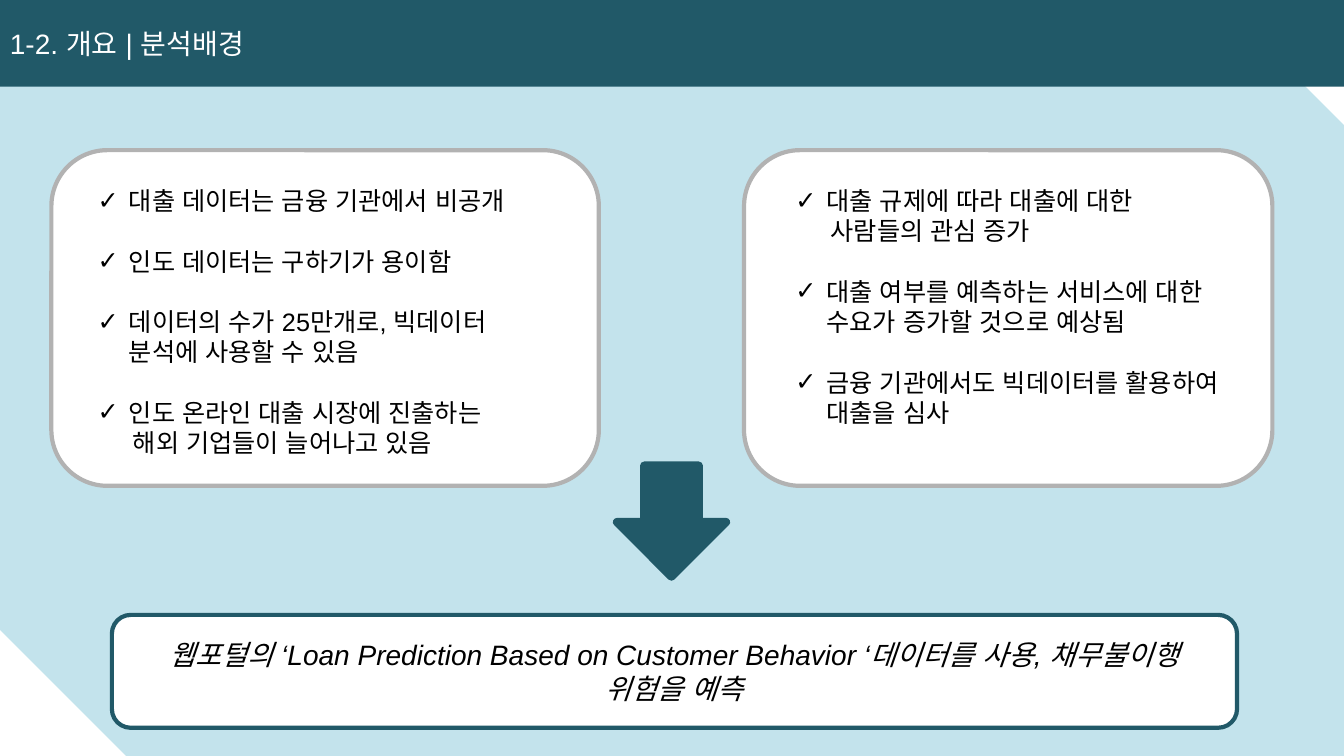
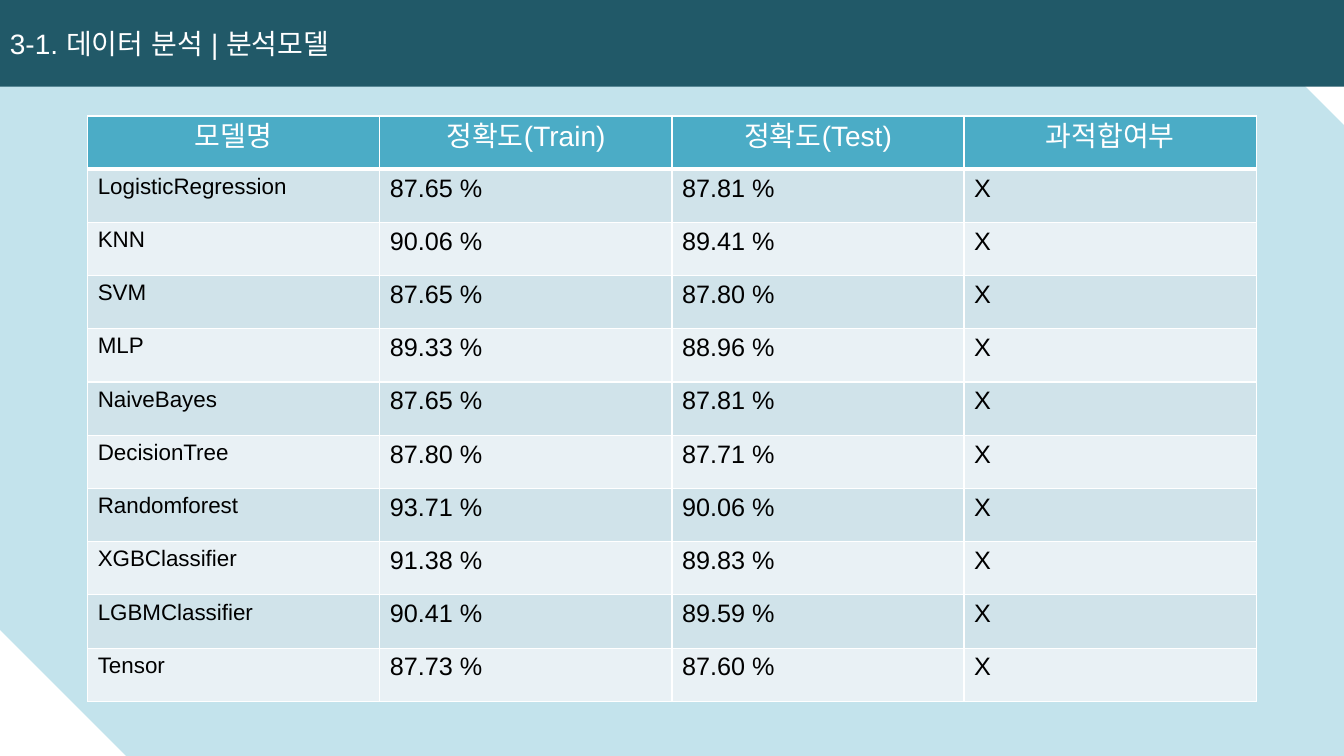
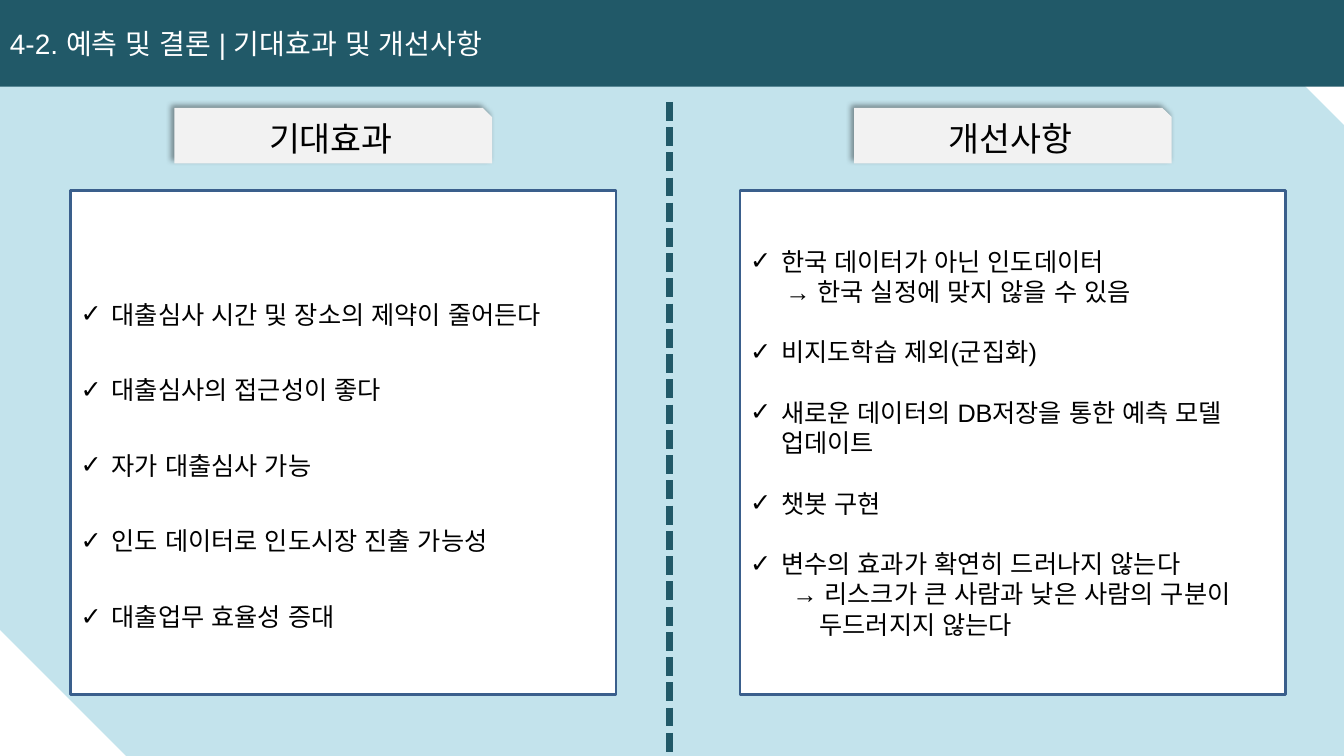
from dataclasses import dataclass
from typing import Optional

from lxml.etree import SubElement
from pptx import Presentation
from pptx.dml.color import RGBColor
from pptx.enum.dml import MSO_LINE
from pptx.enum.shapes import MSO_CONNECTOR, MSO_SHAPE
from pptx.enum.text import MSO_ANCHOR, PP_ALIGN
from pptx.oxml.ns import qn
from pptx.util import Inches, Pt

FONT = "Arial"
TEAL = "215968"
SKY = "93CDDD"
WHITE = "FFFFFF"
BLACK = "000000"
CARD_EDGE = "B2B2B2"
PANEL_EDGE = "3A5F8C"
TAG_GREY = "F2F2F2"
TABLE_HEAD = "4BACC6"
TABLE_ROWS = ("D0E3EA", "E9F1F5")

SLIDE_W, SLIDE_H = 13.33, 7.5
TOP = -0.01
BULLET_INDENT = 0.31
ITEM_GAP = 21.6


@dataclass
class Box:
    left: float
    top: float
    width: float
    height: float

    def lengths(self) -> tuple:
        return tuple(Inches(v) for v in (self.left, self.top, self.width, self.height))


@dataclass
class Item:
    """A ticked point, or an unticked follow-on line when indent is given."""
    text: str
    indent: Optional[float] = None


@dataclass
class ModelScore:
    model: str
    train: float
    test: float
    overfit: str = "X"


@dataclass
class Card:
    frame: Box
    text_area: Box
    items: list


@dataclass
class Panel:
    heading: str
    tag_left: float
    left: float
    items: list
    gap: float = ITEM_GAP
    line_spacing: float = 1.0


CARDS = [
    Card(Box(0.51, 1.49, 5.43, 3.33), Box(0.87, 1.79, 4.77, 3.13), [
        Item("대출 데이터는 금융 기관에서 비공개"),
        Item("인도 데이터는 구하기가 용이함"),
        Item("데이터의 수가 25만개로, 빅데이터 분석에 사용할 수 있음"),
        Item("인도 온라인 대출 시장에 진출하는"),
        Item("해외 기업들이 늘어나고 있음", 0.35),
    ]),
    Card(Box(7.38, 1.49, 5.24, 3.33), Box(7.79, 1.79, 4.58, 2.83), [
        Item("대출 규제에 따라 대출에 대한"),
        Item("사람들의 관심 증가", 0.35),
        Item("대출 여부를 예측하는 서비스에 대한 수요가 증가할 것으로 예상됨"),
        Item("금융 기관에서도 빅데이터를 활용하여 대출을 심사"),
    ]),
]

TABLE_HEADINGS = ("모델명", "정확도(Train)", "정확도(Test)", "과적합여부")
SCORES = [
    ModelScore("LogisticRegression", 87.65, 87.81),
    ModelScore("KNN", 90.06, 89.41),
    ModelScore("SVM", 87.65, 87.80),
    ModelScore("MLP", 89.33, 88.96),
    ModelScore("NaiveBayes", 87.65, 87.81),
    ModelScore("DecisionTree", 87.80, 87.71),
    ModelScore("Randomforest", 93.71, 90.06),
    ModelScore("XGBClassifier", 91.38, 89.83),
    ModelScore("LGBMClassifier", 90.41, 89.59),
    ModelScore("Tensor", 87.73, 87.60),
]

PANELS = [
    Panel("기대효과", 1.73, 0.7, [
        Item("대출심사 시간 및 장소의 제약이 줄어든다"),
        Item("대출심사의 접근성이 좋다"),
        Item("자가 대출심사 가능"),
        Item("인도 데이터로 인도시장 진출 가능성"),
        Item("대출업무 효율성 증대"),
    ], gap=0, line_spacing=2.5),
    Panel("개선사항", 8.47, 7.34, [
        Item("한국 데이터가 아닌 인도데이터"),
        Item("→ 한국 실정에 맞지 않을 수 있음", 0.35),
        Item("비지도학습 제외(군집화)"),
        Item("새로운 데이터의 DB저장을 통한 예측 모델 업데이트"),
        Item("챗봇 구현"),
        Item("변수의 효과가 확연히 드러나지 않는다"),
        Item("→ 리스크가 큰 사람과 낮은 사람의 구분이", 0.42),
        Item("두드러지지 않는다", 0.69),
    ]),
]


def rgb(value: str) -> RGBColor:
    return RGBColor.from_string(value)


def add_block(slide, kind, box: Box, fill: str, edge: str = "", edge_pt: float = 0):
    """Add a flat preset shape, outlined only when an edge colour is given."""
    block = slide.shapes.add_shape(kind, *box.lengths())
    block.shadow.inherit = False
    block.fill.solid()
    block.fill.fore_color.rgb = rgb(fill)
    if edge:
        block.line.color.rgb = rgb(edge)
        block.line.width = Pt(edge_pt)
    else:
        block.line.fill.background()
    return block


def style_runs(paragraph, size: float, color: str, italic: bool = False) -> None:
    for run in paragraph.runs:
        run.font.size = Pt(size)
        run.font.name = FONT
        run.font.bold = False
        run.font.italic = italic
        run.font.color.rgb = rgb(color)
        SubElement(run.font._element, qn("a:ea"), typeface=FONT)


def write_line(frame, text: str, size: float, color: str,
               align=PP_ALIGN.CENTER, italic: bool = False) -> None:
    frame.text = text
    frame.paragraphs[0].alignment = align
    style_runs(frame.paragraphs[0], size, color, italic)


def write_items(frame, items: list, gap: float = ITEM_GAP, line_spacing: float = 1.0) -> None:
    frame.word_wrap = True
    for index, item in enumerate(items):
        paragraph = frame.paragraphs[0] if index == 0 else frame.add_paragraph()
        paragraph.text = item.text
        paragraph.alignment = PP_ALIGN.LEFT
        ticked = item.indent is None
        properties = paragraph._p.get_or_add_pPr()
        properties.set("marL", str(Inches(BULLET_INDENT if ticked else item.indent)))
        properties.set("indent", str(-Inches(BULLET_INDENT) if ticked else 0))
        if ticked:
            SubElement(properties, qn("a:buFont"), typeface=FONT)
            SubElement(properties, qn("a:buChar"), char="✓")
        else:
            SubElement(properties, qn("a:buNone"))
        paragraph.line_spacing = line_spacing
        if ticked and index and gap:
            paragraph.space_before = Pt(gap)
        style_runs(paragraph, 18, BLACK)


def add_page(deck, title: str):
    """Add a blank slide with the snipped backdrop and the title band."""
    slide = deck.slides.add_slide(deck.slide_layouts[6])
    backdrop = add_block(slide, MSO_SHAPE.SNIP_2_DIAG_RECTANGLE,
                         Box(0, TOP, SLIDE_W, SLIDE_H - TOP), SKY)
    tint = backdrop.element.spPr.find(qn("a:solidFill"))[0]
    SubElement(tint, qn("a:alpha"), val="55000")
    band = add_block(slide, MSO_SHAPE.RECTANGLE, Box(0, TOP, SLIDE_W, 0.87), TEAL)
    write_line(band.text_frame, title, 20, WHITE, PP_ALIGN.LEFT)
    return slide


def add_drop_shadow(shape) -> None:
    effects = shape.element.spPr.find(qn("a:effectLst"))
    shadow = SubElement(effects, qn("a:outerShdw"), blurRad=str(Pt(4)), dist=str(Pt(3)),
                        dir=str(225 * 60000), algn="br", rotWithShape="0")
    shade = SubElement(shadow, qn("a:srgbClr"), val=BLACK)
    SubElement(shade, qn("a:alpha"), val="40000")


def set_borders(cell, top: float, bottom: float) -> None:
    properties = cell._tc.get_or_add_tcPr()
    for side, width in (("L", 1), ("R", 1), ("T", top), ("B", bottom)):
        edge = SubElement(properties, qn(f"a:ln{side}"), w=str(Pt(width)))
        paint = SubElement(edge, qn("a:solidFill"))
        SubElement(paint, qn("a:srgbClr"), val=WHITE)


def build_background(deck) -> None:
    slide = add_page(deck, "1-2. 개요 | 분석배경")
    for card in CARDS:
        add_block(slide, MSO_SHAPE.ROUNDED_RECTANGLE, card.frame, WHITE, CARD_EDGE, 3)
        points = slide.shapes.add_textbox(*card.text_area.lengths())
        write_items(points.text_frame, card.items)
    add_block(slide, MSO_SHAPE.DOWN_ARROW, Box(6.12, 4.62, 1.08, 1.1), TEAL, TEAL, 6)
    conclusion = add_block(slide, MSO_SHAPE.ROUNDED_RECTANGLE,
                           Box(1.11, 6.1, 11.16, 1.12), WHITE, TEAL, 3)
    conclusion.text_frame.word_wrap = True
    write_line(conclusion.text_frame,
               "웹포털의 ‘Loan Prediction Based on Customer Behavior ‘데이터를 사용, "
               "채무불이행 위험을 예측", 20, BLACK, italic=True)


def build_models(deck) -> None:
    slide = add_page(deck, "3-1. 데이터 분석 | 분석모델")
    rows = [TABLE_HEADINGS] + [
        (score.model, f"{score.train:.2f} %", f"{score.test:.2f} %", score.overfit)
        for score in SCORES
    ]
    area = Box(0.87, 1.15, 11.59, 5.81)
    table = slide.shapes.add_table(len(rows), len(TABLE_HEADINGS), *area.lengths()).table
    for r, row in enumerate(rows):
        for c, text in enumerate(row):
            cell = table.cell(r, c)
            set_borders(cell, top=3 if r == 1 else 1, bottom=3 if r == 0 else 1)
            cell.fill.solid()
            if r == 0:
                cell.fill.fore_color.rgb = rgb(TABLE_HEAD)
                write_line(cell.text_frame, text, 20, WHITE)
            else:
                cell.fill.fore_color.rgb = rgb(TABLE_ROWS[(r - 1) % 2])
                write_line(cell.text_frame, text, 16 if c == 0 else 18, BLACK, PP_ALIGN.LEFT)


def build_outlook(deck) -> None:
    slide = add_page(deck, "4-2. 예측 및 결론 | 기대효과 및 개선사항")
    for panel in PANELS:
        body = add_block(slide, MSO_SHAPE.RECTANGLE, Box(panel.left, 1.89, 5.41, 5),
                         WHITE, PANEL_EDGE, 2)
        write_items(body.text_frame, panel.items, panel.gap, panel.line_spacing)
        tag = add_block(slide, MSO_SHAPE.SNIP_1_RECTANGLE,
                        Box(panel.tag_left, 1.07, 3.15, 0.55), TAG_GREY)
        add_drop_shadow(tag)
        tag.text_frame.vertical_anchor = MSO_ANCHOR.TOP
        write_line(tag.text_frame, panel.heading, 24, BLACK)
    divider = slide.shapes.add_connector(MSO_CONNECTOR.STRAIGHT, Inches(6.64), Inches(1.01),
                                         Inches(6.64), Inches(SLIDE_H))
    divider.line.color.rgb = rgb(TEAL)
    divider.line.width = Pt(4.5)
    divider.line.dash_style = MSO_LINE.SQUARE_DOT
    SubElement(divider._element.spPr, qn("a:effectLst"))


def main() -> None:
    deck = Presentation()
    deck.slide_width = Inches(SLIDE_W)
    deck.slide_height = Inches(SLIDE_H)
    build_background(deck)
    build_models(deck)
    build_outlook(deck)
    deck.save("out.pptx")


if __name__ == "__main__":
    main()
